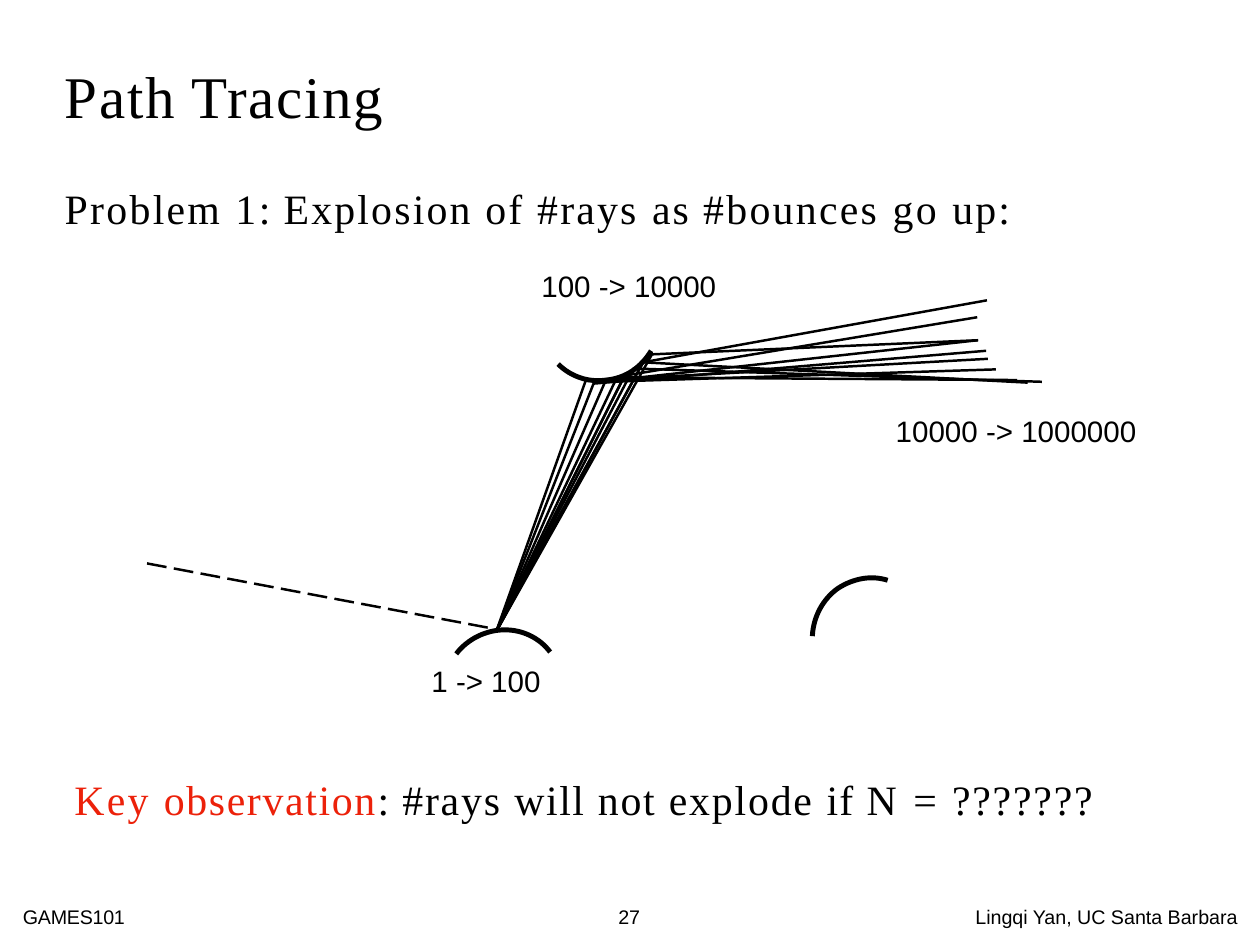
from lxml import etree
from pptx import Presentation
from pptx.dml.color import RGBColor
from pptx.enum.dml import MSO_LINE
from pptx.enum.shapes import MSO_CONNECTOR
from pptx.oxml.ns import qn
from pptx.util import Pt

THEME = {
    "ink": RGBColor(0, 0, 0),
    "accent": RGBColor(0xEC, 0x21, 0x0A),
    "serif": "Times New Roman",
    "sans": "Arial",
    "title": 48,
    "body": 34,
    "label": 24,
    "footer": 16,
    "surface_width": 4,
    "ray_width": 2,
    "curve_steps": 16,
}

TEXTS = [
    (52.6, 48, 500, "serif", "title", [("Path Tracing", 1.4, "ink")]),
    (52.6, 148.5, 900, "serif", "body", [
        ("Problem ", 1.9, "ink"), ("1", 2, "ink"), (": ", 1.1, "ink"),
        ("Explosion of #rays ", 1.8, "ink"), ("as ", 1.6, "ink"),
        ("#bounces ", 1.9, "ink"), ("go ", 2.1, "ink"), ("up:", 1.7, "ink")]),
    (440, 218, 200, "sans", "label", [("100 -> 10000", 0, "ink")]),
    (728, 335.5, 230, "sans", "label", [("10000 -> 1000000", 0, "ink")]),
    (350.6, 539, 140, "sans", "label", [("1 -> 100", 0, "ink")]),
    (60.5, 629, 900, "serif", "body", [
        ("Key ", 1.9, "accent"), ("observation", 1.4, "accent"),
        (": ", 1.1, "ink"), ("#rays ", 1.5, "ink"), ("will ", 1.3, "ink"),
        ("not explode ", 1.5, "ink"), ("if ", 1.1, "ink"), ("N ", 2.5, "ink"),
        ("= ", 1.9, "ink"), ("???????", 1.5, "ink")]),
    (18.7, 735.5, 150, "sans", "footer", [("GAMES101", -0.2, "ink")]),
    (502.6, 735.5, 60, "sans", "footer", [("27", -0.1, "ink")]),
    (792.7, 735.5, 230, "sans", "footer",
     [("Lingqi Yan, UC Santa Barbara", 0, "ink")]),
]

SURFACES = [
    [(370.8, 531.4), (380.2, 519.1), (395.3, 511.9), (410.4, 511.9),
     (424.8, 511.9), (438.5, 518.4), (447.1, 529.9)],
    [(529.2, 285.1), (521.3, 298.1), (509, 307.4), (492.5, 308.9),
     (478.1, 311), (463.7, 306), (453.6, 295.9)],
    [(660.2, 517), (661, 501.1), (668.9, 486.7), (681.1, 478.1),
     (693.4, 470.2), (707.8, 467.3), (721.4, 471.6)],
]

CAMERA_RAY = [(119.5, 457.9), (402.5, 511.2)]
FIRST_HIT = (403.2, 513.4)
BOUNCES = [
    [(491.8, 310.3), (809.3, 300.2)],
    [(475.9, 309.6), (802.8, 291.6)],
    [(529.9, 288), (794.9, 276.5)],
    [(506.9, 306.7), (826.6, 308.9)],
    [(522.7, 294.5), (802.1, 244.1)],
    [(522.7, 294.5), (835.2, 311)],
    [(514.8, 299.5), (846.7, 310.3)],
    [(507.6, 305.3), (794.2, 257.8)],
    [(500.4, 308.9), (794.9, 276.5)],
    [(482.4, 311.8), (801.4, 285.1)],
]


def apply_format(target, values):
    for name, value in values.items():
        setattr(target, name, value)


def curve_points(controls):
    steps = THEME["curve_steps"]
    points = [controls[0]]
    for start in range(0, len(controls) - 1, 3):
        segment = controls[start:start + 4]
        for step in range(1, steps + 1):
            t = step / steps
            weights = ((1 - t) ** 3, 3 * t * (1 - t) ** 2,
                       3 * t ** 2 * (1 - t), t ** 3)
            points.append(tuple(
                sum(w * point[axis] for w, point in zip(weights, segment))
                for axis in (0, 1)))
    return points


def style_line(line, width):
    line.fill.solid()
    line.fill.fore_color.rgb = THEME["ink"]
    line.width = Pt(width)


def add_path(slide, points, width):
    vertices = [(Pt(x), Pt(y)) for x, y in points]
    builder = slide.shapes.build_freeform(*vertices[0], scale=1)
    builder.add_line_segments(vertices[1:], close=False)
    shape = builder.convert_to_shape()
    shape.shadow.inherit = False
    shape.fill.background()
    style_line(shape.line, width)


def add_dashed_ray(slide, start, end):
    connector = slide.shapes.add_connector(
        MSO_CONNECTOR.STRAIGHT, *(Pt(value) for value in start + end))
    style_line(connector.line, THEME["ray_width"])
    connector.line.dash_style = MSO_LINE.LONG_DASH
    properties = connector._element.spPr
    etree.SubElement(properties, qn("a:effectLst"))


def add_text(slide, left, top, width, family, size, runs):
    points = THEME[size]
    box = slide.shapes.add_textbox(
        Pt(left), Pt(top), Pt(width), Pt(points * 1.2))
    frame = box.text_frame
    apply_format(frame, {
        "word_wrap": True, "margin_left": 0, "margin_right": 0,
        "margin_top": 0, "margin_bottom": 0})
    paragraph = frame.paragraphs[0]
    for text, spacing, color in runs:
        run = paragraph.add_run()
        run.text = text
        apply_format(run.font, {"name": THEME[family], "size": Pt(points)})
        run.font.color.rgb = THEME[color]
        run._r.get_or_add_rPr().set("spc", str(round(spacing * 100)))


def main():
    presentation = Presentation()
    apply_format(presentation, {
        "slide_width": Pt(1024), "slide_height": Pt(768)})
    slide = presentation.slides.add_slide(presentation.slide_layouts[6])
    for controls in SURFACES:
        add_path(slide, curve_points(controls), THEME["surface_width"])
    add_dashed_ray(slide, *CAMERA_RAY)
    for bounce in BOUNCES:
        add_path(slide, [FIRST_HIT] + bounce, THEME["ray_width"])
    for text in TEXTS:
        add_text(slide, *text)
    presentation.save("out.pptx")


if __name__ == "__main__":
    main()
